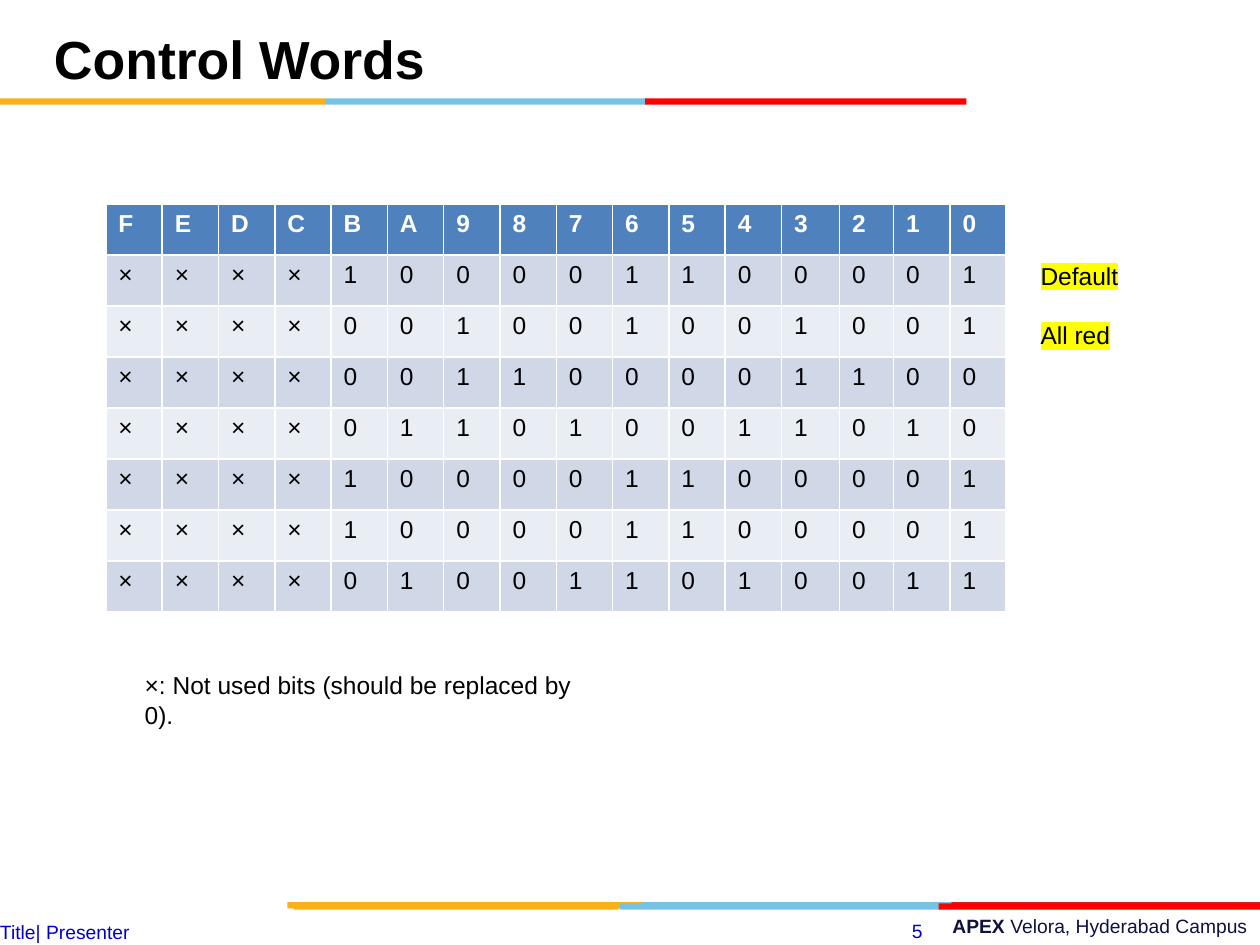
from dataclasses import dataclass

from lxml.etree import SubElement
from pptx import Presentation
from pptx.dml.color import RGBColor
from pptx.enum.shapes import MSO_SHAPE
from pptx.enum.text import MSO_ANCHOR, PP_ALIGN
from pptx.oxml.ns import qn
from pptx.util import Inches, Pt


@dataclass(frozen=True)
class Theme:
    """Colours, font and type sizes of the slide."""
    font: str = "Arial"
    title_size: float = 30.6
    body_size: float = 14
    footer_size: float = 11
    black: str = "000000"
    white: str = "FFFFFF"
    navy: str = "101141"
    blue: str = "0000CC"
    header: str = "4F81BD"
    bands: tuple = ("D0D8E8", "E9EDF4")
    amber: str = "FCB017"
    sky: str = "76C2E5"
    crimson: str = "E31C24"
    red: str = "FF0000"
    highlight: str = "FFFF00"


THEME = Theme()

TITLE = "Control Words"
BIT_NAMES = "FEDCBA9876543210"
CONTROL_WORDS = [
    "××××100001100001",
    "××××001001001001",
    "××××001100001100",
    "××××011010011010",
    "××××100001100001",
    "××××100001100001",
    "××××010011010011",
]
ROW_LABELS = ["Default", "All red"]
NOTE = "×: Not used bits (should be replaced by 0)."
FOOTER = "Title| Presenter"
PAGE_NUMBER = "5"
CAMPUS = [("APEX ", True), ("Velora, Hyderabad Campus", False)]

# Each stripe: top, then (left, width, colour) for its segments
STRIPES = [
    (7.16, [(5.06, 2.55, THEME.sky), (7.55, 2.45, THEME.crimson), (2.28, 2.82, THEME.amber)]),
    (7.17, [(4.92, 2.55, THEME.sky), (2.33, 2.58, THEME.amber), (7.45, 2.55, THEME.red)]),
    (0.78, [(2.58, 2.55, THEME.sky), (0, 2.58, THEME.amber), (5.12, 2.55, THEME.red)]),
]
STRIPE_HEIGHT = 0.05

TABLE_LEFT, TABLE_TOP = 0.84, 1.62
COLUMN_WIDTH, ROW_HEIGHT = 0.447, 0.405
COLUMN_EXCEPTIONS = {12: 0.46, 13: 0.43}
LABEL_TOP, LABEL_STEP = 2.02, 0.47


def format_run(run, size, color, bold=False):
    """Set the font of one run."""
    run.font.name = THEME.font
    run.font.size = Pt(size)
    run.font.bold = bold
    run.font.color.rgb = RGBColor.from_string(color)


def highlight_run(run, color):
    """Put a marker colour behind one run."""
    properties = run.font._element
    highlight = SubElement(properties, qn("a:highlight"))
    SubElement(highlight, qn("a:srgbClr")).set("val", color)
    properties.find(qn("a:solidFill")).addnext(highlight)


def add_text(slide, box, runs, size, color, align=PP_ALIGN.LEFT, inset=(0.1, 0.05)):
    """Add a wrapping text box of (text, bold) runs and return its shape."""
    shape = slide.shapes.add_textbox(*map(Inches, box))
    text_frame = shape.text_frame
    text_frame.word_wrap = True
    text_frame.margin_left = text_frame.margin_right = Inches(inset[0])
    text_frame.margin_top = text_frame.margin_bottom = Inches(inset[1])
    paragraph = text_frame.paragraphs[0]
    paragraph.alignment = align
    for text, bold in runs:
        run = paragraph.add_run()
        run.text = text
        format_run(run, size, color, bold)
    return shape


def add_stripe(slide, top, segments):
    """Add one stripe made of coloured segments."""
    for left, width, color in segments:
        box = (left, top, width, STRIPE_HEIGHT)
        shape = slide.shapes.add_shape(MSO_SHAPE.RECTANGLE, *map(Inches, box))
        shape.shadow.inherit = False
        shape.fill.solid()
        shape.fill.fore_color.rgb = RGBColor.from_string(color)
        shape.line.fill.background()


def add_word_table(slide):
    """Add the table of control words, one bit per column."""
    rows = [BIT_NAMES] + CONTROL_WORDS
    widths = [COLUMN_EXCEPTIONS.get(i, COLUMN_WIDTH) for i in range(len(BIT_NAMES))]
    box = (TABLE_LEFT, TABLE_TOP, sum(widths), ROW_HEIGHT * len(rows))
    table = slide.shapes.add_table(len(rows), len(widths), *map(Inches, box)).table
    for column, width in zip(table.columns, widths):
        column.width = Inches(width)
    for row_index, bits in enumerate(rows):
        table.rows[row_index].height = Inches(ROW_HEIGHT)
        is_header = row_index == 0
        fill = THEME.header if is_header else THEME.bands[(row_index - 1) % 2]
        color = THEME.white if is_header else THEME.black
        for column_index, bit in enumerate(bits):
            cell = table.cell(row_index, column_index)
            cell.fill.solid()
            cell.fill.fore_color.rgb = RGBColor.from_string(fill)
            cell.text_frame.text = bit
            format_run(cell.text_frame.paragraphs[0].runs[0], THEME.body_size, color, is_header)


def build_slide(presentation):
    """Build the control words slide."""
    slide = presentation.slides.add_slide(presentation.slide_layouts[6])
    add_text(slide, (3.58, 7.21, 6.42, 0.29), CAMPUS, THEME.footer_size, THEME.navy,
             PP_ALIGN.RIGHT)
    for top, segments in STRIPES:
        add_stripe(slide, top, segments)
    add_text(slide, (6.67, 7.25, 0.75, 0.28), [(PAGE_NUMBER, False)], THEME.footer_size,
             THEME.blue, PP_ALIGN.RIGHT)
    add_text(slide, (0, 7.3, 7, 0.19), [(FOOTER, False)], THEME.footer_size, THEME.blue,
             inset=(0, 0))

    title = add_text(slide, (0.33, 0.24, 6.92, 0.54), [(TITLE, True)], THEME.title_size,
                     THEME.black)
    title.text_frame.vertical_anchor = MSO_ANCHOR.MIDDLE
    title.text_frame.paragraphs[0].line_spacing = 0.8

    add_word_table(slide)
    for index, label in enumerate(ROW_LABELS):
        box = (8.16, LABEL_TOP + index * LABEL_STEP, 0.88, 0.34)
        shape = add_text(slide, box, [(label, False)], THEME.body_size, THEME.black)
        highlight_run(shape.text_frame.paragraphs[0].runs[0], THEME.highlight)
    add_text(slide, (1.05, 5.27, 3.86, 0.34), [(NOTE, False)], THEME.body_size, THEME.black)


presentation = Presentation()
presentation.slide_width, presentation.slide_height = Inches(10), Inches(7.5)
build_slide(presentation)
presentation.save("out.pptx")
